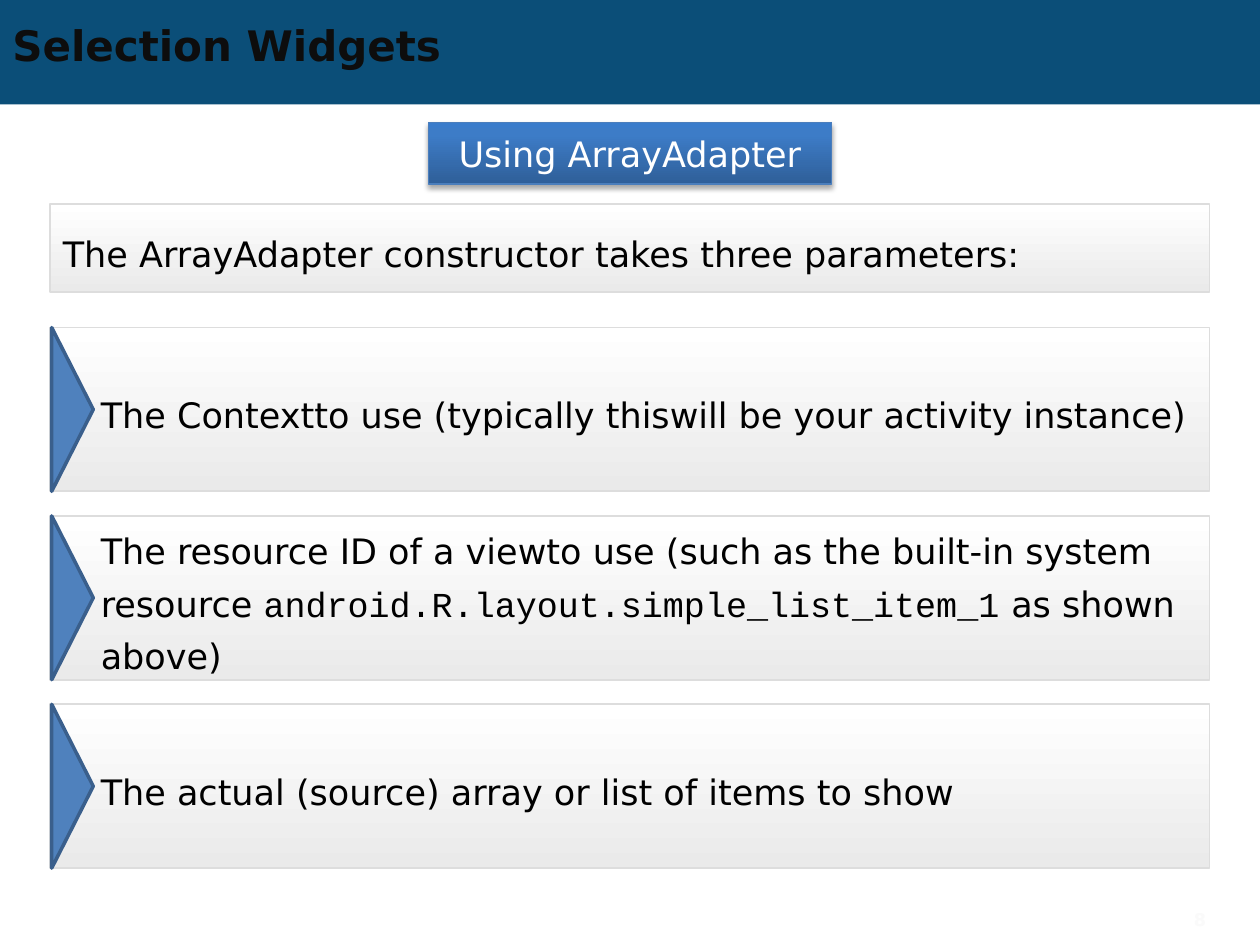
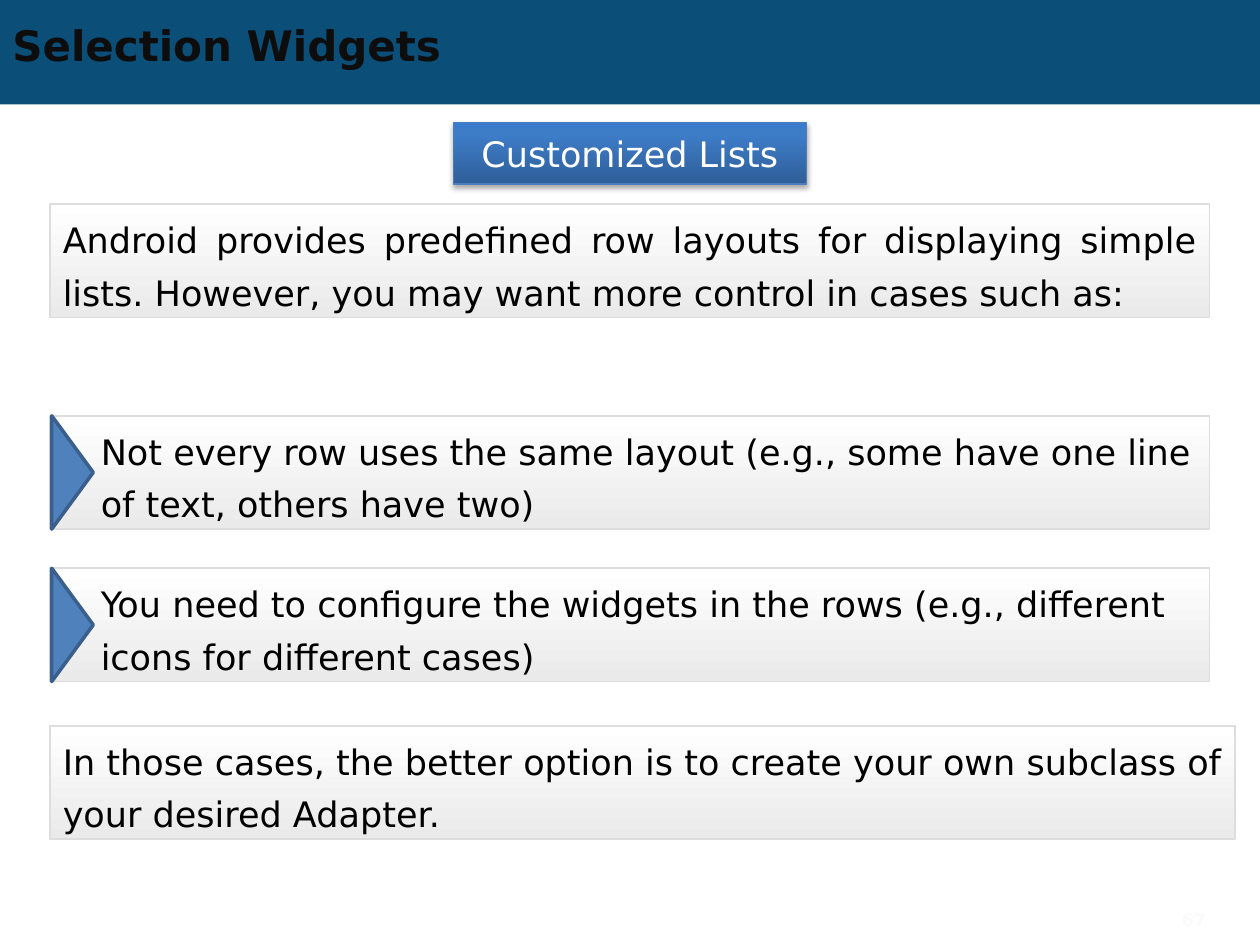
from pptx import Presentation
from pptx.dml.color import RGBColor
from pptx.enum.shapes import MSO_SHAPE
from pptx.enum.text import MSO_ANCHOR, PP_ALIGN
from pptx.oxml import parse_xml
from pptx.oxml.ns import nsdecls
from pptx.util import Inches, Pt

HUES = {
    "band": "0B4E78", "title": "0D0D0D", "ink": "000000", "white": "FFFFFF",
    "page": "FAFAFA", "edge": "DDDDDD", "rim": "4B7EBC",
    "wedge": "4F81BD", "side": "3A5F8C",
}
PANEL = [(0, "FFFFFF"), (100, "EAEAEA")], 90
BADGE = [(0, "2F5F99"), (80, "3D7CC7"), (100, "3A7CCB")], 270
SANS, MONO = "DejaVu Sans", "Courier New"
COLS, ROWS = 100, 75
LEFT, WIDE = 4, 92


def hue(name):
    return RGBColor.from_string(HUES[name])


def write(shape, text, size=20, color="ink", bold=False, align=PP_ALIGN.LEFT,
          lead=None, inset=(0.1, 0.05, 0.1, 0.05)):
    frame = shape.text_frame
    frame.word_wrap = True
    frame.vertical_anchor = MSO_ANCHOR.MIDDLE
    (frame.margin_left, frame.margin_top,
     frame.margin_right, frame.margin_bottom) = map(Inches, inset)
    para = frame.paragraphs[0]
    para.alignment = align
    if lead:
        para.line_spacing = Pt(lead)
    parts = [(text, SANS)] if isinstance(text, str) else text
    for words, face in parts:
        run = para.add_run()
        run.text = words
        run.font.name = face
        run.font.size = Pt(size)
        run.font.bold = bold
        run.font.color.rgb = hue(color)


class Deck:
    def __init__(self):
        self.show = Presentation()
        self.show.slide_width = Inches(10)
        self.show.slide_height = Inches(7.5)
        self.col = self.show.slide_width / COLS
        self.row = self.show.slide_height / ROWS
        self.slide = None

    def place(self, left, top, wide, high):
        return (round(left * self.col), round(top * self.row),
                round(wide * self.col), round(high * self.row))

    def shape(self, spot, fill, line=None, width=1, kind=MSO_SHAPE.RECTANGLE, home=None):
        item = (home or self.slide).shapes.add_shape(kind, *self.place(*spot))
        item.shadow.inherit = False
        if isinstance(fill, str):
            item.fill.solid()
            item.fill.fore_color.rgb = hue(fill)
        else:
            self.blend(item, *fill)
        if line:
            item.line.color.rgb = hue(line)
            item.line.width = Pt(width)
        else:
            item.line.fill.background()
        return item

    def blend(self, item, stops, angle):
        item.fill.background()
        props = item.element.spPr
        marks = "".join(
            f'<a:gs pos="{at * 1000}"><a:srgbClr val="{color}"/></a:gs>'
            for at, color in stops)
        fill = parse_xml(
            f'<a:gradFill {nsdecls("a")} rotWithShape="1"><a:gsLst>{marks}</a:gsLst>'
            f'<a:lin ang="{angle * 60000}" scaled="0"/></a:gradFill>')
        props.replace(props.find("{*}noFill"), fill)

    def label(self, spot, text, **style):
        box = self.slide.shapes.add_textbox(*self.place(*spot))
        write(box, text, **style)

    def start(self, title, topic, wide, page):
        self.slide = self.show.slides.add_slide(self.show.slide_layouts[6])
        self.shape((0, 0, COLS, 8.3), "band")
        self.label((0, 1.4, 90, 4.3), title, size=24, color="title", bold=True)
        self.badge(topic, wide)
        self.label((86.7, 71.2, 10, 3.6), page, size=10, color="page",
                   bold=True, align=PP_ALIGN.RIGHT)

    def badge(self, text, wide):
        item = self.shape(((COLS - wide) / 2, 9.7, wide, 4.9), BADGE, "rim", 0.75)
        item.element.spPr.find("{*}effectLst").append(parse_xml(
            f'<a:outerShdw {nsdecls("a")} blurRad="{Pt(3.1)}" dist="{Pt(1.8)}" '
            'dir="5400000" rotWithShape="0"><a:srgbClr val="000000">'
            '<a:alpha val="35000"/></a:srgbClr></a:outerShdw>'))
        write(item, text, color="white", align=PP_ALIGN.CENTER)

    def panel(self, top, high, text, wide=WIDE):
        item = self.shape((LEFT, top, wide, high), PANEL, "edge")
        write(item, text, align=PP_ALIGN.JUSTIFY, lead=30)

    def points(self, top, high, step, texts):
        for index, text in enumerate(texts):
            head = top + index * step
            group = self.slide.shapes.add_group_shape()
            bar = self.shape((LEFT, head, WIDE, high), PANEL, "edge", home=group)
            write(bar, text, lead=30, inset=(0.4, 0, 0.1, 0))
            depth = 3.3
            wedge = self.shape(
                (5.75 - high / 2, head + (high - depth) / 2, high, depth),
                "wedge", "side", 2, MSO_SHAPE.ISOSCELES_TRIANGLE, group)
            wedge.rotation = 90


def main():
    deck = Deck()
    title = "Selection Widgets"

    deck.start(title, "Using ArrayAdapter", 32, "8")
    deck.panel(16.2, 7, "The ArrayAdapter constructor takes three parameters:")
    deck.points(26, 13, 14.95, [
        "The Contextto use (typically thiswill be your activity instance)",
        [("The resource ID of a viewto use (such as the built-in system resource ", SANS),
         ("android.R.layout.simple_list_item_1", MONO),
         (" as shown above)", SANS)],
        "The actual (source) array or list of items to show",
    ])

    deck.start(title, "Customized Lists", 28, "67")
    deck.panel(16.2, 9, "Android provides predefined row layouts for displaying simple lists. "
               "However, you may want more control in cases such as:")
    deck.points(33, 9, 12.1, [
        "Not every row uses the same layout (e.g., some have one line of text, others have two)",
        "You need to configure the widgets in the rows (e.g., different icons for different cases)",
    ])
    deck.panel(57.6, 9, "In those cases, the better option is to create your own subclass "
               "of your desired Adapter.", wide=94)

    deck.show.save("out.pptx")


if __name__ == "__main__":
    main()
